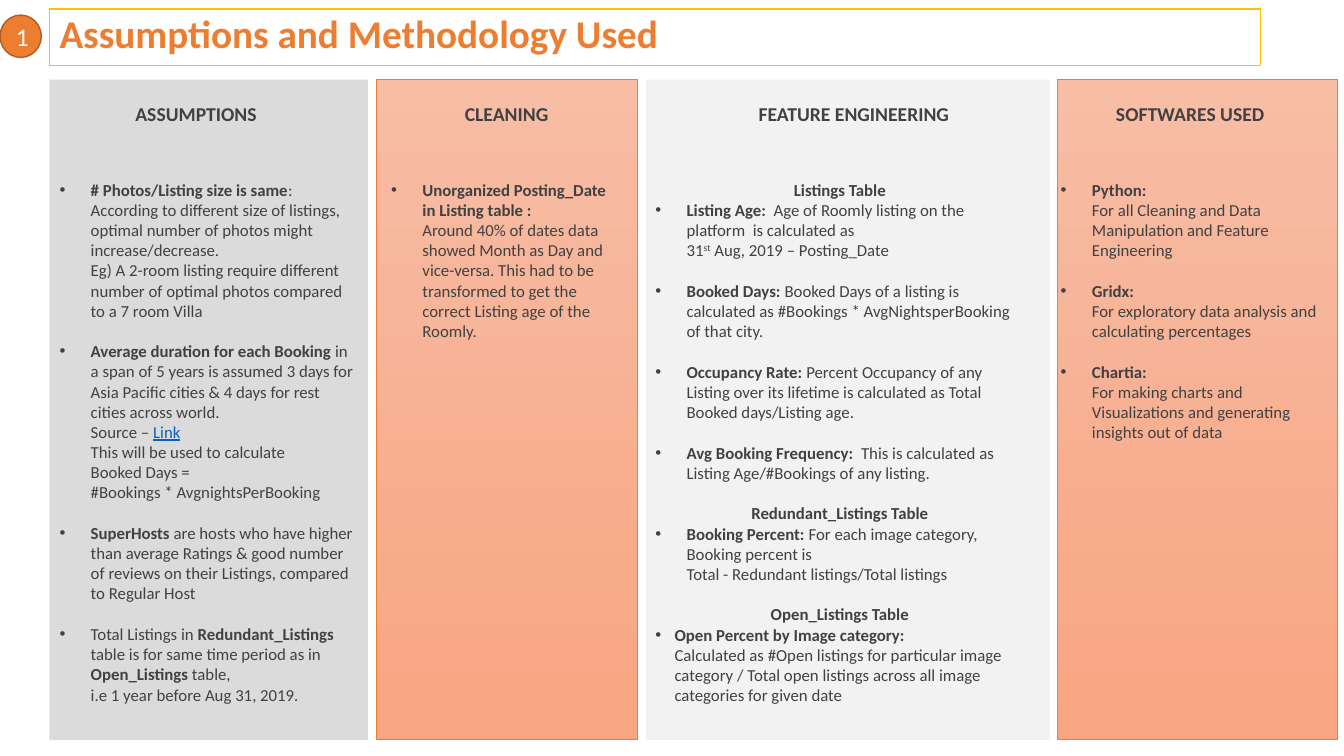
from dataclasses import dataclass

from lxml import etree
from pptx import Presentation
from pptx.dml.color import RGBColor
from pptx.enum.shapes import MSO_SHAPE
from pptx.enum.text import MSO_ANCHOR, MSO_AUTO_SIZE, PP_ALIGN
from pptx.oxml.ns import qn
from pptx.util import Inches, Pt

RECTANGLE, OVAL = MSO_SHAPE.RECTANGLE, MSO_SHAPE.OVAL
TOP, MIDDLE = MSO_ANCHOR.TOP, MSO_ANCHOR.MIDDLE
LEFT, CENTER = PP_ALIGN.LEFT, PP_ALIGN.CENTER
FIXED_SIZE = MSO_AUTO_SIZE.NONE

WHITE = RGBColor(0xFF, 0xFF, 0xFF)
TEXT = RGBColor(0x41, 0x41, 0x41)
LINK = RGBColor(0x05, 0x63, 0xC1)
ORANGE = RGBColor(0xED, 0x7D, 0x31)
DARK_ORANGE = RGBColor(0xAF, 0x5C, 0x24)
GOLD = RGBColor(0xFF, 0xC0, 0x00)
GRAY = RGBColor(0xDB, 0xDB, 0xDB)
LIGHT_GRAY = RGBColor(0xF2, 0xF2, 0xF2)
PEACH = (RGBColor(0xF7, 0xBD, 0xA5), RGBColor(0xF8, 0xA5, 0x82))

FONT = "Calibri"
BODY_SIZE = 12
ITEM_GAP = 14.6  # one line of body text
PANEL_TOP, PANEL_HEIGHT = 0.79, 6.55
HEADING_TOP, HEADING_HEIGHT = 0.96, 0.34
LIST_TOP = 1.73


@dataclass
class Span:
    text: str
    bold: bool = False
    link: bool = False
    superscript: bool = False


@dataclass
class Item:
    spans: list[Span]
    indent: float = 0.31
    subheading: bool = False


@dataclass
class Column:
    heading: str
    panel: tuple[float, float]  # left, width
    heading_box: tuple[float, float]
    list_box: tuple[float, float, float]  # left, width, height
    fill: RGBColor | None  # None means the peach gradient
    items: list[Item]


def entry(label: str, detail: str, indent: float = 0.31) -> Item:
    return Item([Span(label, bold=True), Span(detail)], indent)


def subheading(text: str) -> Item:
    return Item([Span(text, bold=True)], subheading=True)


COLUMNS = [
    Column("ASSUMPTIONS", (0.49, 3.16), (1.23, 1.43), (0.49, 3.16, 5.35), GRAY, [
        entry("# Photos/Listing size is same",
              ": \nAccording to different size of listings, optimal number of photos might "
              "increase/decrease. \nEg) A 2-room listing require different number of optimal "
              "photos compared to a 7 room Villa"),
        Item([Span("Average duration for each Booking ", bold=True),
              Span("in a span of 5 years is assumed 3 days for Asia Pacific cities & 4 days "
                   "for rest cities across world.\nSource – "),
              Span("Link", link=True),
              Span("\nThis will be used to calculate \nBooked Days = \n"
                   "#Bookings * AvgnightsPerBooking")]),
        entry("SuperHosts ",
              "are hosts who have higher than average Ratings & good number of reviews on "
              "their Listings, compared to Regular Host"),
        Item([Span("Total Listings in "), Span("Redundant_Listings", bold=True),
              Span(" table is for same time period as in "),
              Span("Open_Listings", bold=True),
              Span(" table, \ni.e 1 year before Aug 31, 2019.")]),
    ]),
    Column("CLEANING", (3.73, 2.59), (4.36, 1.33), (3.78, 2.45, 1.92), None, [
        entry("Unorganized Posting_Date in Listing table :\n",
              "Around 40% of dates data showed Month as Day and vice-versa. This had to be "
              "transformed to get the correct Listing age of the Roomly."),
    ]),
    Column("FEATURE ENGINEERING", (6.41, 4), (7.32, 2.3), (6.4, 3.86, 5.55), LIGHT_GRAY, [
        subheading("Listings Table"),
        Item([Span("Listing Age:  ", bold=True),
              Span("Age of Roomly listing on the platform  is calculated as \n31"),
              Span("st", superscript=True), Span(" Aug, 2019 – Posting_Date")]),
        entry("Booked Days: ",
              "Booked Days of a listing is calculated as #Bookings * AvgNightsperBooking "
              "of that city."),
        entry("Occupancy Rate: ",
              "Percent Occupancy of any Listing over its lifetime is calculated as Total "
              "Booked days/Listing age."),
        entry("Avg Booking Frequency: ",
              " This is calculated as\nListing Age/#Bookings of any listing."),
        subheading("Redundant_Listings Table"),
        entry("Booking Percent: ",
              "For each image category, Booking percent is \n"
              "Total - Redundant listings/Total listings"),
        subheading("Open_Listings Table"),
        entry("Open Percent by Image category:\n",
              "Calculated as #Open listings for particular image category / Total open "
              "listings across all image categories for given date", indent=0.19),
    ]),
    Column("SOFTWARES USED", (10.49, 2.77), (10.79, 2.03), (10.42, 2.77, 2.93), None, [
        entry("Python:\n", "For all Cleaning and Data Manipulation and Feature Engineering"),
        entry("Gridx:\n", "For exploratory data analysis and calculating percentages"),
        entry("Chartia:\n",
              "For making charts and Visualizations and generating insights out of data"),
    ]),
]


def place(shape, left: float, top: float, width: float, height: float) -> None:
    shape.left, shape.top = Inches(left), Inches(top)
    shape.width, shape.height = Inches(width), Inches(height)


def add_run(paragraph, text: str, size: float, color: RGBColor, bold: bool = False):
    run = paragraph.add_run()
    run.text = text
    font = run.font
    font.name, font.size, font.bold = FONT, Pt(size), bold
    font.color.rgb = color
    return run


def add_span(paragraph, span: Span) -> None:
    for number, line in enumerate(span.text.split("\n")):
        if number:
            line_break = paragraph._p.add_br()
            etree.SubElement(line_break, qn("a:rPr"), sz=str(BODY_SIZE * 100))
        if line:
            run = add_run(paragraph, line, BODY_SIZE, LINK if span.link else TEXT, span.bold)
            if span.link:
                run.font.underline = True
            if span.superscript:
                run._r.get_or_add_rPr().set("baseline", "30000")


def set_bullet(paragraph, indent: float) -> None:
    properties = paragraph._p.get_or_add_pPr()
    properties.set("marL", str(Inches(indent)))
    properties.set("indent", str(-Inches(indent)))
    if indent:
        etree.SubElement(properties, qn("a:buFont"), typeface="Arial")
        etree.SubElement(properties, qn("a:buChar"), char="•")
    else:
        etree.SubElement(properties, qn("a:buNone"))


def fill_list(placeholder, items: list[Item]) -> None:
    frame = placeholder.text_frame
    frame.word_wrap, frame.auto_size = True, FIXED_SIZE
    frame.vertical_anchor = TOP
    follows_gap = False
    for number, item in enumerate(items):
        paragraph = frame.add_paragraph() if number else frame.paragraphs[0]
        paragraph.alignment = CENTER if item.subheading else LEFT
        paragraph.space_before = Pt(ITEM_GAP if follows_gap else 0)
        set_bullet(paragraph, 0 if item.subheading else item.indent)
        for span in item.spans:
            add_span(paragraph, span)
        follows_gap = not item.subheading


def add_panel(slide, column: Column) -> None:
    left, width = column.panel
    panel = slide.shapes.add_shape(RECTANGLE, Inches(left), Inches(PANEL_TOP),
                                   Inches(width), Inches(PANEL_HEIGHT))
    panel.shadow.inherit = False
    if column.fill is not None:
        panel.fill.solid()
        panel.fill.fore_color.rgb = column.fill
        panel.line.fill.background()
        return
    panel.fill.gradient()
    panel.fill.gradient_angle = 270
    for stop, color in zip(panel.fill.gradient_stops, PEACH):
        stop.color.rgb = color
    panel.line.color.rgb, panel.line.width = ORANGE, Pt(0.5)


def add_heading(slide, column: Column) -> None:
    left, width = column.heading_box
    box = slide.shapes.add_textbox(Inches(left), Inches(HEADING_TOP),
                                   Inches(width), Inches(HEADING_HEIGHT))
    box.text_frame.word_wrap = True
    paragraph = box.text_frame.paragraphs[0]
    paragraph.alignment = CENTER
    add_run(paragraph, column.heading, 14, TEXT, bold=True)


def format_title(title) -> None:
    place(title, 0.49, 0.09, 12.01, 0.56)
    title.fill.solid()
    title.fill.fore_color.rgb = WHITE
    title.line.color.rgb, title.line.width = GOLD, Pt(1)
    frame = title.text_frame
    frame.vertical_anchor, frame.auto_size = TOP, FIXED_SIZE
    paragraph = frame.paragraphs[0]
    paragraph.alignment, paragraph.line_spacing = LEFT, 0.9
    add_run(paragraph, "Assumptions and Methodology Used", 28, ORANGE, bold=True)


def add_number_badge(slide) -> None:
    badge = slide.shapes.add_shape(OVAL, 0, Inches(0.15), Inches(0.41), Inches(0.42))
    badge.shadow.inherit = False
    badge.fill.solid()
    badge.fill.fore_color.rgb = ORANGE
    badge.line.color.rgb, badge.line.width = DARK_ORANGE, Pt(1)
    badge.text_frame.vertical_anchor = MIDDLE
    paragraph = badge.text_frame.paragraphs[0]
    paragraph.alignment = CENTER
    add_run(paragraph, "1", 18, WHITE)


def main() -> None:
    presentation = Presentation()
    presentation.slide_width, presentation.slide_height = Inches(13.33), Inches(7.5)
    # The Comparison layout has a title and four body placeholders
    slide = presentation.slides.add_slide(presentation.slide_layouts[4])
    title, *lists = list(slide.placeholders)[:5]

    # Columns: panel, heading, then the list raised above its panel
    for column, placeholder in zip(COLUMNS, lists):
        add_panel(slide, column)
        add_heading(slide, column)
        left, width, height = column.list_box
        place(placeholder, left, LIST_TOP, width, height)
        fill_list(placeholder, column.items)
        slide.shapes._spTree.append(placeholder._element)

    # Title bar and slide number
    format_title(title)
    add_number_badge(slide)
    presentation.save("out.pptx")


if __name__ == "__main__":
    main()
